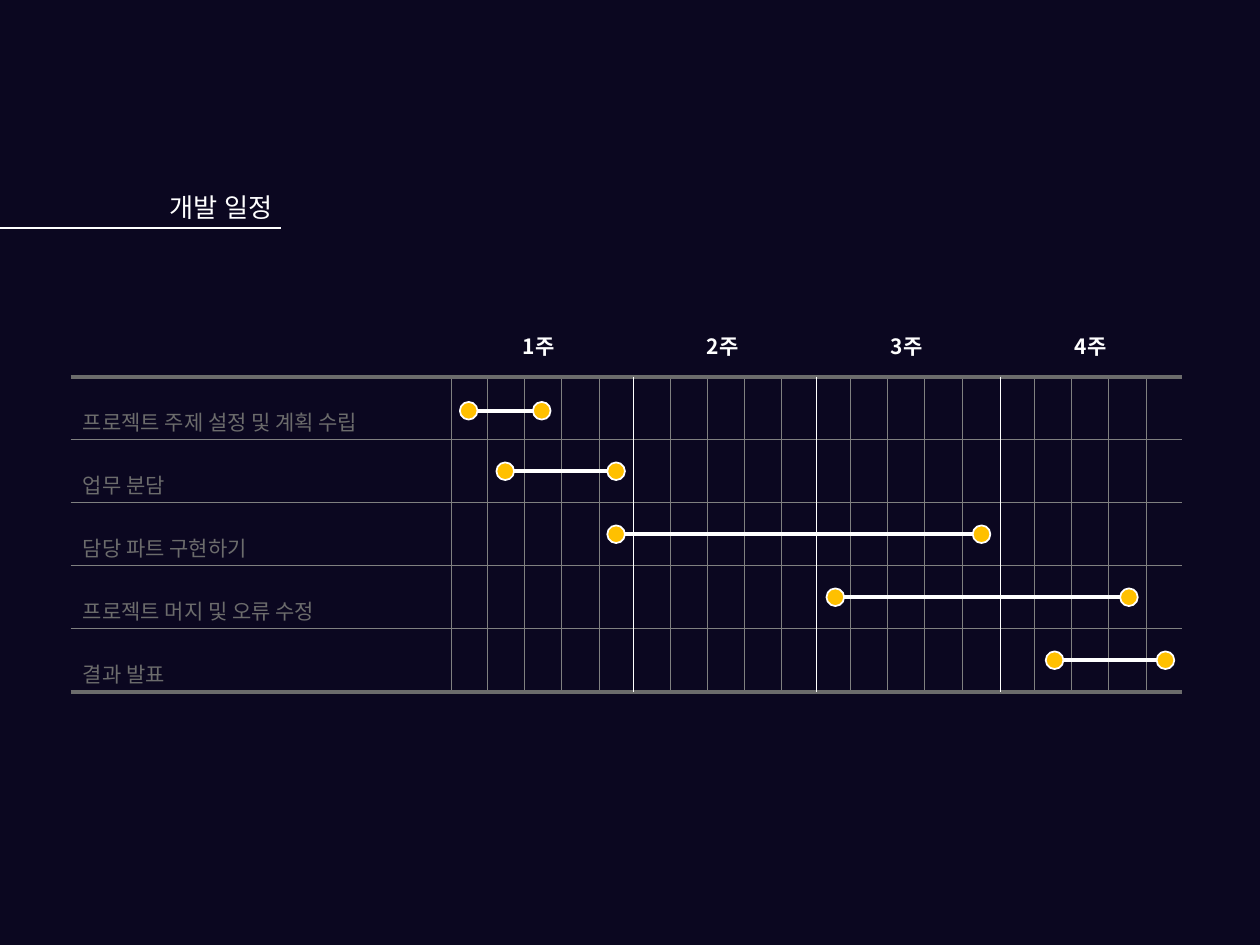
import dataclasses

import pptx
import pptx.dml.color
import pptx.enum.shapes
import pptx.enum.text
import pptx.oxml.ns
import pptx.util
from lxml import etree

Inches = pptx.util.Inches
Align = pptx.enum.text.PP_ALIGN

COLORS = {
    "background": "0B0720",
    "white": "FFFFFF",
    "label": "6C6C6C",
    "grid": "808080",
    "marker": "FFC000",
}
FONT = "Noto Sans CJK KR"
CHART_LEFT, CHART_RIGHT = 0.56, 9.38
CHART_TOP, ROW_HEIGHT = 2.99, 0.5
DAYS_LEFT, DAY_STEP, DAYS_PER_WEEK = 3.58, 0.295, 4
FIRST_DAYS = (3.87, 5.32, 6.75, 8.21)
WEEK_LINES = (5.03, 6.48, 7.94)
HEADER_LEFT, WEEK_STEP = 3.88, 1.46
DOT = 0.14


@dataclasses.dataclass(frozen=True)
class Task:
    """A scheduled task with the left edges of its two markers and their top."""

    name: str
    start: float
    end: float
    top: float


TASKS = (
    Task("프로젝트 주제 설정 및 계획 수립", 3.65, 4.23, 3.19),
    Task("업무 분담", 3.94, 4.82, 3.67),
    Task("담당 파트 구현하기", 4.82, 7.72, 4.17),
    Task("프로젝트 머지 및 오류 수정", 6.56, 8.89, 4.67),
    Task("결과 발표", 8.3, 9.18, 5.17),
)


def rgb(name: str) -> pptx.dml.color.RGBColor:
    """Return the named palette colour."""
    return pptx.dml.color.RGBColor.from_string(COLORS[name])


def add_line(s, x1: float, y1: float, x2: float, y2: float, color: str, width: float) -> None:
    """Draw a straight line without a shadow."""
    line = s.shapes.add_connector(
        pptx.enum.shapes.MSO_CONNECTOR.STRAIGHT, Inches(x1), Inches(y1), Inches(x2), Inches(y2)
    )
    line.line.color.rgb = rgb(color)
    line.line.width = pptx.util.Pt(width)
    etree.SubElement(line._element.spPr, pptx.oxml.ns.qn("a:effectLst"))


def add_text(
    s,
    box: tuple[float, float, float, float],
    lines: list[str],
    color: str,
    size: float = 12,
    bold: bool = False,
    spacing: float = 1.0,
    align: Align = Align.LEFT,
) -> None:
    """Add a text box with one paragraph for each line."""
    tf = s.shapes.add_textbox(*map(Inches, box)).text_frame
    tf.word_wrap = True
    tf.auto_size = pptx.enum.text.MSO_AUTO_SIZE.SHAPE_TO_FIT_TEXT
    font = {"name": FONT, "size": pptx.util.Pt(size), "bold": bold}
    for i, line in enumerate(lines):
        p = tf.paragraphs[0] if i == 0 else tf.add_paragraph()
        p.alignment = align
        p.line_spacing = spacing
        r = p.add_run()
        r.text = line
        for key, value in font.items():
            setattr(r.font, key, value)
        r.font.color.rgb = rgb(color)
        etree.SubElement(r.font._element, pptx.oxml.ns.qn("a:ea"), typeface=FONT)


def add_dot(s, left: float, top: float) -> None:
    """Draw a round schedule marker."""
    sp = s.shapes.add_shape(
        pptx.enum.shapes.MSO_SHAPE.OVAL, Inches(left), Inches(top), Inches(DOT), Inches(DOT)
    )
    sp.shadow.inherit = False
    sp.fill.solid()
    sp.fill.fore_color.rgb = rgb("marker")
    sp.line.color.rgb = rgb("white")
    sp.line.width = pptx.util.Pt(1)


def add_grid(s) -> None:
    """Draw the day, row and week lines."""
    bottom = CHART_TOP + ROW_HEIGHT * len(TASKS)
    days = [first + DAY_STEP * i for first in FIRST_DAYS for i in range(DAYS_PER_WEEK)]
    for x in (DAYS_LEFT, *days):
        add_line(s, x, CHART_TOP, x, bottom, "grid", 0.5)
    for i in range(len(TASKS) + 1):
        y = CHART_TOP + ROW_HEIGHT * i
        color, width = ("label", 2.25) if i in (0, len(TASKS)) else ("grid", 0.5)
        add_line(s, CHART_LEFT, y, CHART_RIGHT, y, color, width)
    for x in WEEK_LINES:
        add_line(s, x, CHART_TOP, x, bottom, "white", 0.5)


def add_task(s, task: Task) -> None:
    """Draw the two markers of a task and the bar between them."""
    add_dot(s, task.start, task.top)
    add_dot(s, task.end, task.top)
    y = task.top + DOT / 2
    add_line(s, task.start + DOT, y, task.end, y, "white", 2.25)


def main() -> None:
    """Build the schedule slide."""
    prs = pptx.Presentation()
    prs.slide_width, prs.slide_height = Inches(10), Inches(7.5)
    s = prs.slides.add_slide(prs.slide_layouts[6])
    s.background.fill.solid()
    s.background.fill.fore_color.rgb = rgb("background")

    add_text(s, (0.56, 2.9, 3.02, 2.63), [task.name for task in TASKS], "label", spacing=2.5)
    add_grid(s)
    for i in range(len(FIRST_DAYS)):
        box = (HEADER_LEFT + WEEK_STEP * i, 2.6, 0.79, 0.3)
        add_text(s, box, [f"{i + 1}주"], "white", bold=True, align=Align.CENTER)
    for task in TASKS:
        add_task(s, task)

    add_text(s, (1.25, 1.34, 1.09, 0.48), ["개발 일정"], "white", size=15, spacing=1.5)
    add_line(s, 0, 1.81, 2.23, 1.81, "white", 1)
    prs.save("out.pptx")


if __name__ == "__main__":
    main()
